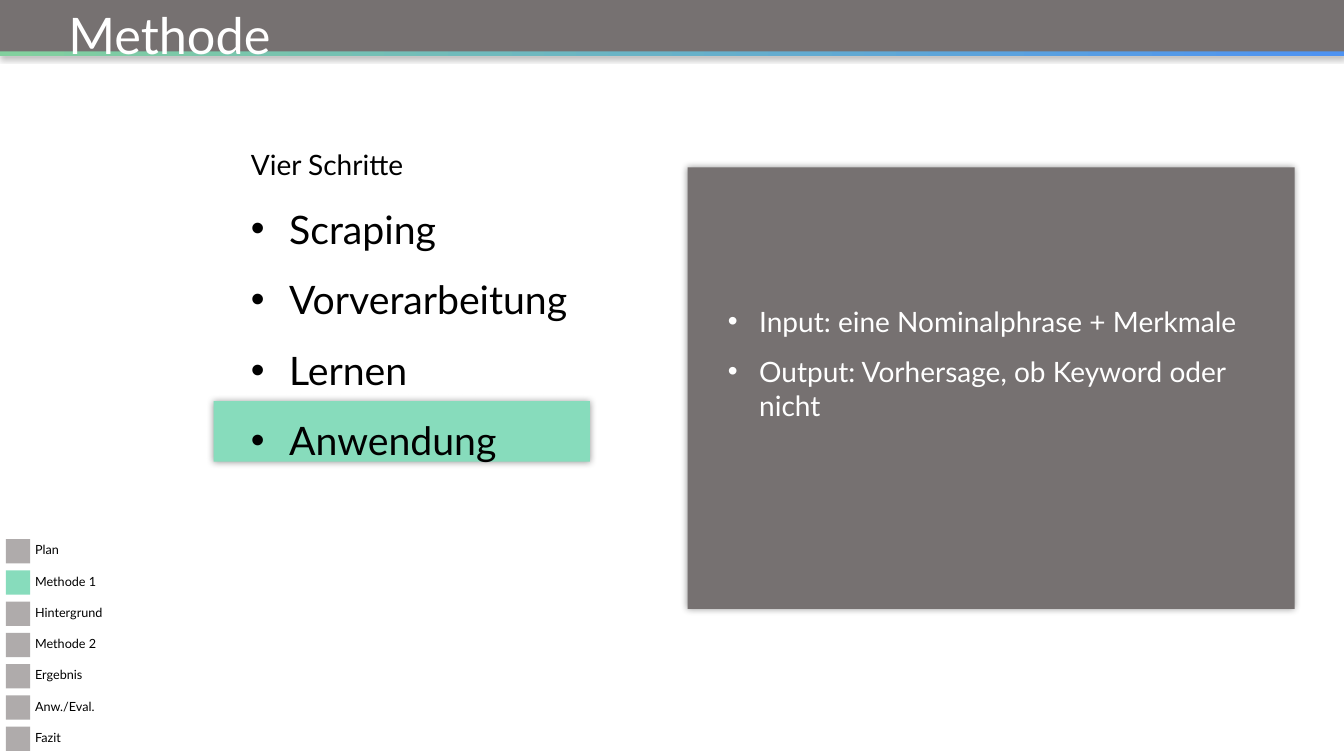
"""Build the "Methode" slide with its step list, detail panel and progress legend."""
from dataclasses import dataclass

import pptx
import pptx.dml.color
import pptx.enum.shapes
import pptx.enum.text
import pptx.oxml
import pptx.oxml.ns
import pptx.util
from lxml import etree

Inches = pptx.util.Inches
Pt = pptx.util.Pt
ANCHOR = pptx.enum.text.MSO_ANCHOR
GREY, LIGHT, MINT, BLACK, WHITE = "767171", "AFABAB", "87DCBC", "000000", "FFFFFF"
LEGEND_TOP, LEGEND_STEP = 5.35, 0.31


@dataclass
class Box:
    """Place of a shape in inches."""
    x: float
    y: float
    w: float
    h: float


@dataclass
class Line:
    """One paragraph with its look."""
    text: str
    size: float
    color: str = BLACK
    spacing: float = 1.0
    after: float = 0
    left: float = 0
    hanging: float = 0


def rgb(color: str) -> pptx.dml.color.RGBColor:
    """Turn a hex string into a colour."""
    return pptx.dml.color.RGBColor.from_string(color)


def add_shadow(sp) -> None:
    """Give a shape a soft shadow on all sides."""
    sp._element.spPr.append(pptx.oxml.parse_xml(
        f'<a:effectLst {pptx.oxml.ns.nsdecls("a")}>'
        f'<a:outerShdw blurRad="{Pt(5)}" dist="0" dir="0" algn="ctr" rotWithShape="0">'
        '<a:srgbClr val="000000"><a:alpha val="40000"/></a:srgbClr>'
        '</a:outerShdw></a:effectLst>'))


def add_rect(s, box: Box, color: str, shadow: bool = False, end: str = ""):
    """Draw a borderless rectangle, shaded towards end if that is given."""
    sp = s.shapes.add_shape(pptx.enum.shapes.MSO_SHAPE.RECTANGLE,
                            *map(Inches, (box.x, box.y, box.w, box.h)))
    if end:
        sp.fill.gradient()
        sp.fill.gradient_angle = 0
        for stop, value in zip(sp.fill.gradient_stops, (color, end)):
            stop.color.rgb = rgb(value)
    else:
        sp.fill.solid()
        sp.fill.fore_color.rgb = rgb(color)
    sp.line.fill.background()
    if shadow:
        add_shadow(sp)
    else:
        sp.shadow.inherit = False
    return sp


def write(tf, lines: list[Line], **frame) -> None:
    """Fill a text frame with paragraphs."""
    for name, value in {"word_wrap": True, **frame}.items():
        setattr(tf, name, value)
    for i, line in enumerate(lines):
        p = tf.add_paragraph() if i else tf.paragraphs[0]
        if line.hanging:
            pPr = p._p.get_or_add_pPr()
            pPr.set("marL", str(Inches(line.left)))
            pPr.set("indent", str(-Inches(line.hanging)))
            for tag, key, value in (("buFont", "typeface", "Arial"), ("buChar", "char", "•")):
                etree.SubElement(pPr, pptx.oxml.ns.qn(f"a:{tag}")).set(key, value)
        for name, value in {"alignment": pptx.enum.text.PP_ALIGN.LEFT,
                            "line_spacing": line.spacing,
                            "space_after": Pt(line.after)}.items():
            setattr(p, name, value)
        r = p.add_run()
        r.text = line.text
        for name, value in {"name": "Lato", "size": Pt(line.size)}.items():
            setattr(r.font, name, value)
        r.font.color.rgb = rgb(line.color)


def add_text(s, box: Box, lines: list[Line], **frame) -> None:
    """Add a text box."""
    sp = s.shapes.add_textbox(*map(Inches, (box.x, box.y, box.w, box.h)))
    write(sp.text_frame, lines, **frame)


def main() -> None:
    """Build and save the slide."""
    prs = pptx.Presentation()
    prs.slide_width, prs.slide_height = Inches(13.33), Inches(7.5)
    s = prs.slides.add_slide(prs.slide_layouts[6])

    add_rect(s, Box(2.12, 3.98, 3.73, 0.6), MINT, shadow=True)
    steps = ["Scraping", "Vorverarbeitung", "Lernen", "Anwendung"]
    add_text(s, Box(2.39, 1.25, 4.27, 5.49),
             [Line("Vier Schritte", 20, spacing=1.5)]
             + [Line(t, 28, spacing=1.5, left=0.38, hanging=0.38) for t in steps])

    add_rect(s, Box(0, 0.51, 13.33, 0.05), "82D09E", shadow=True, end="4E93F2")
    add_rect(s, Box(0, 0, 13.33, 0.51), GREY)
    add_text(s, Box(0.58, -0.06, 6.97, 0.76), [Line("Methode", 36, WHITE, 0.9)],
             vertical_anchor=ANCHOR.BOTTOM)

    panel = add_rect(s, Box(6.82, 1.66, 6.02, 4.38), GREY, shadow=True)
    details = ["Input: eine Nominalphrase + Merkmale",
               "Output: Vorhersage, ob Keyword oder nicht"]
    write(panel.text_frame,
          [Line(t, 20, WHITE, after=12, left=0.43, hanging=0.31) for t in details],
          vertical_anchor=ANCHOR.MIDDLE, margin_left=Inches(0.28),
          margin_right=Inches(0.39), margin_bottom=Inches(0.55))

    sections = ["Plan", "Methode 1", "Hintergrund", "Methode 2",
                "Ergebnis", "Anw./Eval.", "Fazit"]
    for i, section in enumerate(sections):
        y = LEGEND_TOP + i * LEGEND_STEP
        add_rect(s, Box(0.06, y, 0.24, 0.24), MINT if section == "Methode 1" else LIGHT)
        add_text(s, Box(0.25, y - 0.02, 1, 0.25), [Line(section, 9)],
                 vertical_anchor=ANCHOR.MIDDLE)

    prs.save("out.pptx")


if __name__ == "__main__":
    main()
